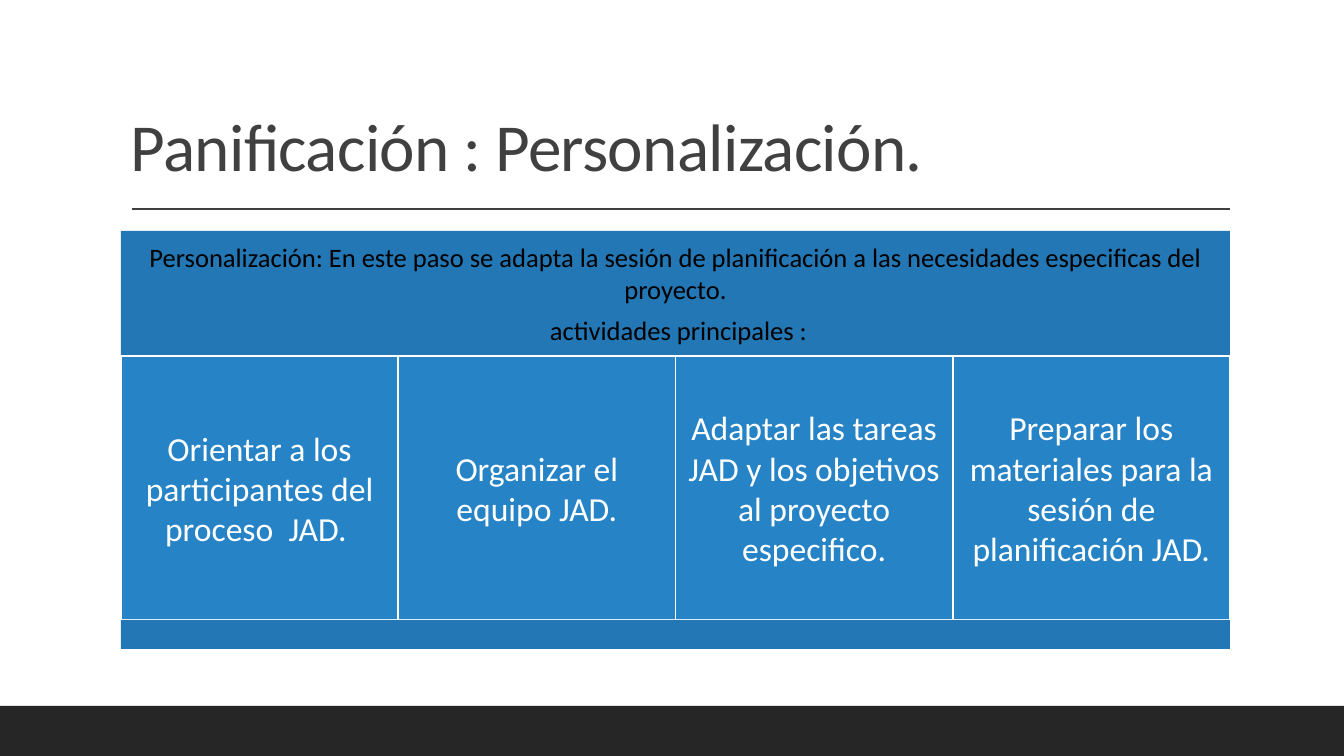
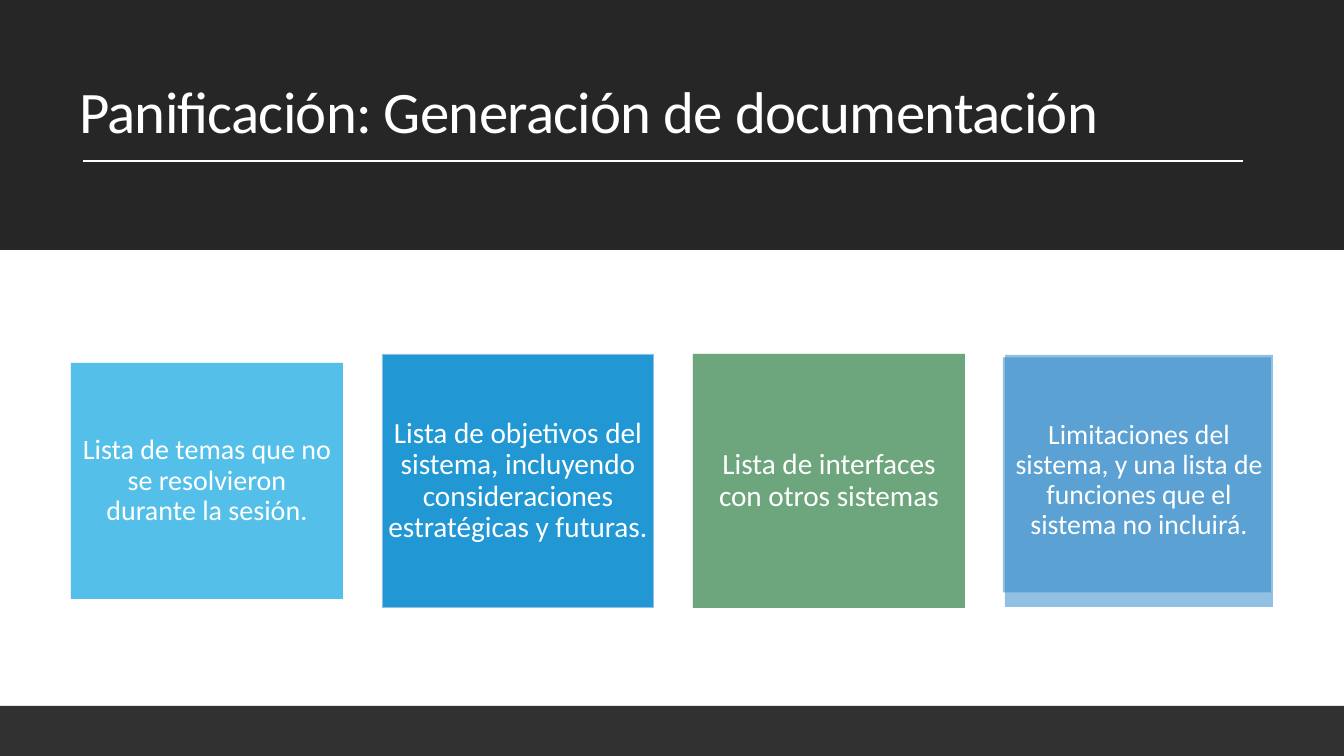
from lxml import etree
from pptx import Presentation
from pptx.dml.color import RGBColor
from pptx.enum.shapes import MSO_CONNECTOR, MSO_SHAPE
from pptx.enum.text import MSO_ANCHOR, MSO_AUTO_SIZE, PP_ALIGN
from pptx.oxml.ns import qn
from pptx.util import Pt

PX = 12192000 / 1344  # EMU in one px
PAGE_WIDTH, PAGE_HEIGHT = 1344, 756
TITLE_ONLY = 5
FONT = "Calibri"

RECTANGLE = MSO_SHAPE.RECTANGLE
STRAIGHT = MSO_CONNECTOR.STRAIGHT
LEFT, CENTER = PP_ALIGN.LEFT, PP_ALIGN.CENTER
MIDDLE, BOTTOM = MSO_ANCHOR.MIDDLE, MSO_ANCHOR.BOTTOM
NO_AUTOFIT = MSO_AUTO_SIZE.NONE

WHITE = RGBColor(0xFF, 0xFF, 0xFF)
BLACK = RGBColor(0x00, 0x00, 0x00)
GRAY = RGBColor(0x40, 0x40, 0x40)
DARK = RGBColor(0x26, 0x26, 0x26)
DEEP_BLUE = RGBColor(0x22, 0x77, 0xB4)
BLUE = RGBColor(0x26, 0x83, 0xC6)
CYAN = RGBColor(0x1C, 0xAD, 0xE4)
GREEN = RGBColor(0x3E, 0x88, 0x53)


def emu(*lengths):
    return [round(length * PX) for length in lengths]


def set_all(target, values):
    for name, value in values.items():
        setattr(target, name, value)


def write(shape, paragraphs, size, color, inset=10, align=CENTER,
          anchor=MIDDLE, line_spacing=1.0, space_after=0, tracking=0):
    """Fill a shape or placeholder with evenly formatted paragraphs."""
    frame = shape.text_frame
    side = round(inset * PX)
    set_all(frame, {"word_wrap": True, "auto_size": NO_AUTOFIT,
                    "vertical_anchor": anchor,
                    "margin_left": side, "margin_right": side,
                    "margin_top": side, "margin_bottom": side})
    for number, text in enumerate(paragraphs):
        para = frame.add_paragraph() if number else frame.paragraphs[0]
        set_all(para, {"alignment": align, "line_spacing": line_spacing,
                       "space_before": Pt(0), "space_after": Pt(space_after)})
        span = para.add_run()
        span.text = text
        set_all(span.font, {"name": FONT, "size": Pt(size)})
        span.font.color.rgb = color
        if tracking:
            span.font._element.set("spc", str(tracking))


def add_box(page, box, fill, opacity=100, outline=None):
    shape = page.shapes.add_shape(RECTANGLE, *emu(*box))
    shape.shadow.inherit = False
    shape.fill.solid()
    shape.fill.fore_color.rgb = fill
    if opacity < 100:
        color = shape.fill._xPr.find(".//" + qn("a:srgbClr"))
        etree.SubElement(color, qn("a:alpha")).set("val", str(opacity * 1000))
    if outline is None:
        shape.line.fill.background()
    else:
        shape.line.color.rgb = outline
        shape.line.width = Pt(1.25)
    return shape


def add_title(page, text, box, size, color, rule):
    """Title placeholder with the rule (left, right, top) below it."""
    title = page.shapes.title
    set_all(title, dict(zip(("left", "top", "width", "height"), emu(*box))))
    write(title, [text], size, color, inset=5, align=LEFT, anchor=BOTTOM,
          line_spacing=0.9, tracking=-50)
    title.text_frame.margin_left = round(10 * PX)
    left, right, top = rule
    line = page.shapes.add_connector(STRAIGHT, *emu(left, top, right, top))
    line.line.color.rgb = color
    line.line.width = Pt(1)
    etree.SubElement(line._element.spPr, qn("a:effectLst"))


def add_footer(page, opacity=100):
    add_box(page, (0, 706, PAGE_WIDTH, 50), DARK, opacity)


def add_activity_panel(page, box, heading, activities):
    """Heading band, a row of equal cells and a closing band."""
    left, top, width, height = box
    head, foot = 125, 29
    band = add_box(page, (left, top, width, head), DEEP_BLUE)
    write(band, heading, 19, BLACK, inset=8, space_after=7)
    cell_width = width / len(activities)
    for column, activity in enumerate(activities):
        cell = add_box(page, (left + column * cell_width, top + head,
                              cell_width, height - head - foot),
                       BLUE, outline=WHITE)
        write(cell, [activity], 24, WHITE)
    add_box(page, (left, top + height - foot, width, foot), DEEP_BLUE)


def add_card_row(page, box, cards):
    """Equally spaced cards, each made of a back and a front sheet."""
    left, top, pitch, height = box
    for column, (text, size, inset, sheets) in enumerate(cards):
        for shift, drop, width, tall, fill, opacity, outline in sheets:
            sheet = add_box(page, (left + column * pitch + shift,
                                   top + (height - tall) / 2 + drop,
                                   width, tall), fill, opacity, outline)
        write(sheet, [text], size, WHITE, inset, line_spacing=0.9)


def build_personalization(deck):
    page = deck.slides.add_slide(deck.slide_layouts[TITLE_ONLY])
    add_title(page, "Panificación : Personalización.", (121, 31, 1109, 160),
              48, GRAY, (132, 1230, 209))
    add_footer(page)
    add_activity_panel(
        page, (121, 231, 1109, 418),
        ["Personalización: En este paso se adapta la sesión de planificación "
         "a las necesidades especificas del proyecto.",
         " actividades principales :"],
        ["Orientar a los participantes del proceso  JAD. ",
         "Organizar el equipo JAD.",
         "Adaptar las tareas JAD y los objetivos al proyecto especifico.",
         "Preparar los materiales para la sesión de planificación JAD."])


def build_documentation(deck):
    page = deck.slides.add_slide(deck.slide_layouts[TITLE_ONLY])
    # The header band lies behind the title placeholder
    header = add_box(page, (0, 0, PAGE_WIDTH, 250), DARK)
    page.shapes.title._element.addprevious(header._element)
    add_title(page, "Panificación: Generación de documentación",
              (69, 39, 1203, 112), 42, WHITE, (83, 1243, 161))
    add_footer(page, 95)
    # Sheets: shift, drop, width, height, fill, opacity, outline
    cyan = (0, 0, 272, 236, CYAN, 50, None)
    green = (0, 0, 272, 254, GREEN, 50, None)
    add_card_row(page, (71, 354, 311, 254), [
        ("Lista de temas que no se resolvieron durante la sesión.",
         20, 11, [cyan, cyan]),
        ("Lista de objetivos del sistema, incluyendo consideraciones "
         "estratégicas y futuras.", 20.9, 5,
         [(0, 0, 272, 254, CYAN, 100, WHITE),
          (0, 0, 272, 254, BLUE, 50, None)]),
        ("Lista de interfaces con otros sistemas", 20.9, 10, [green, green]),
        ("Limitaciones del sistema, y una lista de funciones que el sistema "
         "no incluirá.", 19.8, 7,
         [(-1, -6, 268, 235, BLUE, 50, None),
          (1, 0, 268, 252, BLUE, 50, None)]),
    ])


def main():
    deck = Presentation()
    deck.slide_width, deck.slide_height = emu(PAGE_WIDTH, PAGE_HEIGHT)
    build_personalization(deck)
    build_documentation(deck)
    deck.save("out.pptx")


if __name__ == "__main__":
    main()
